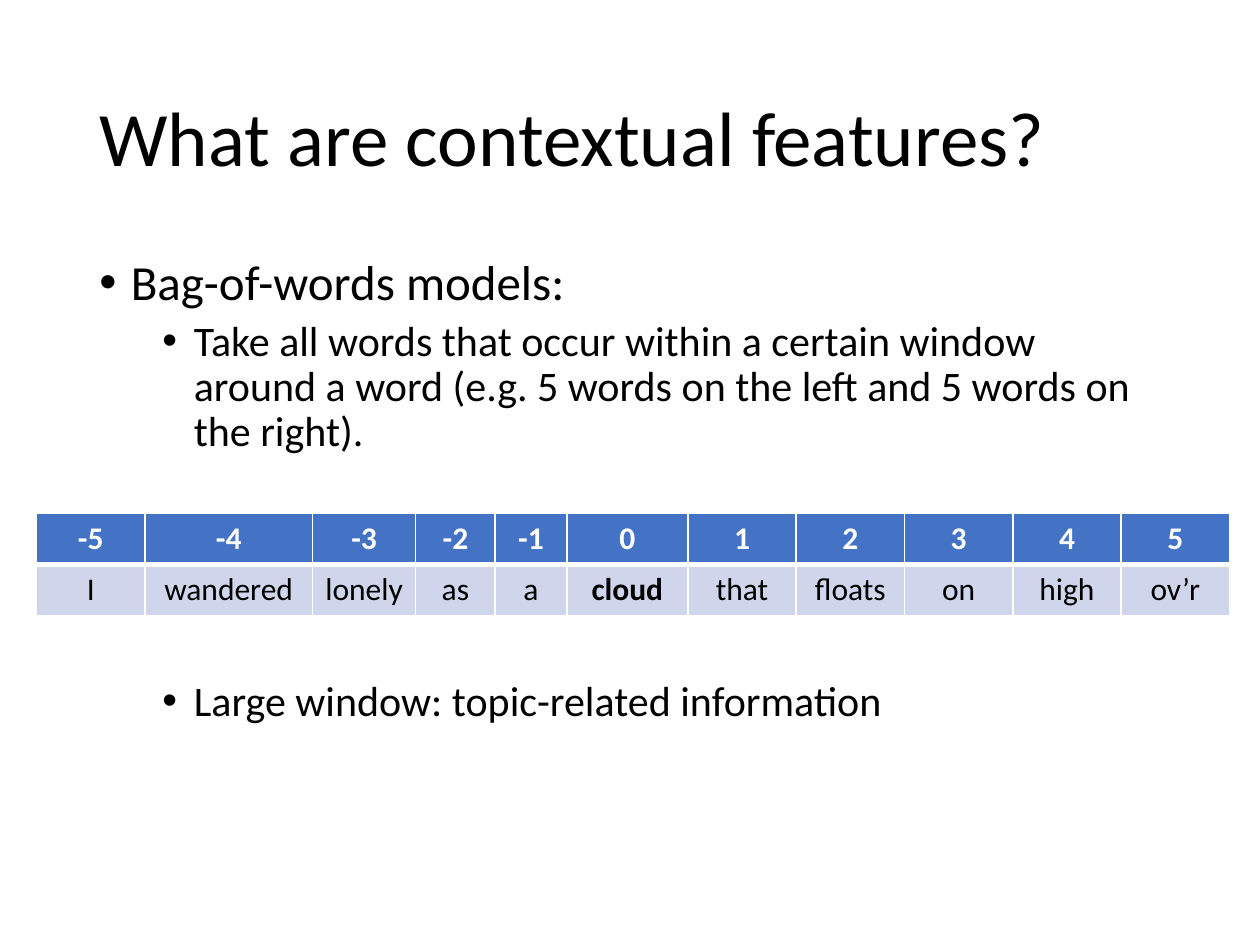
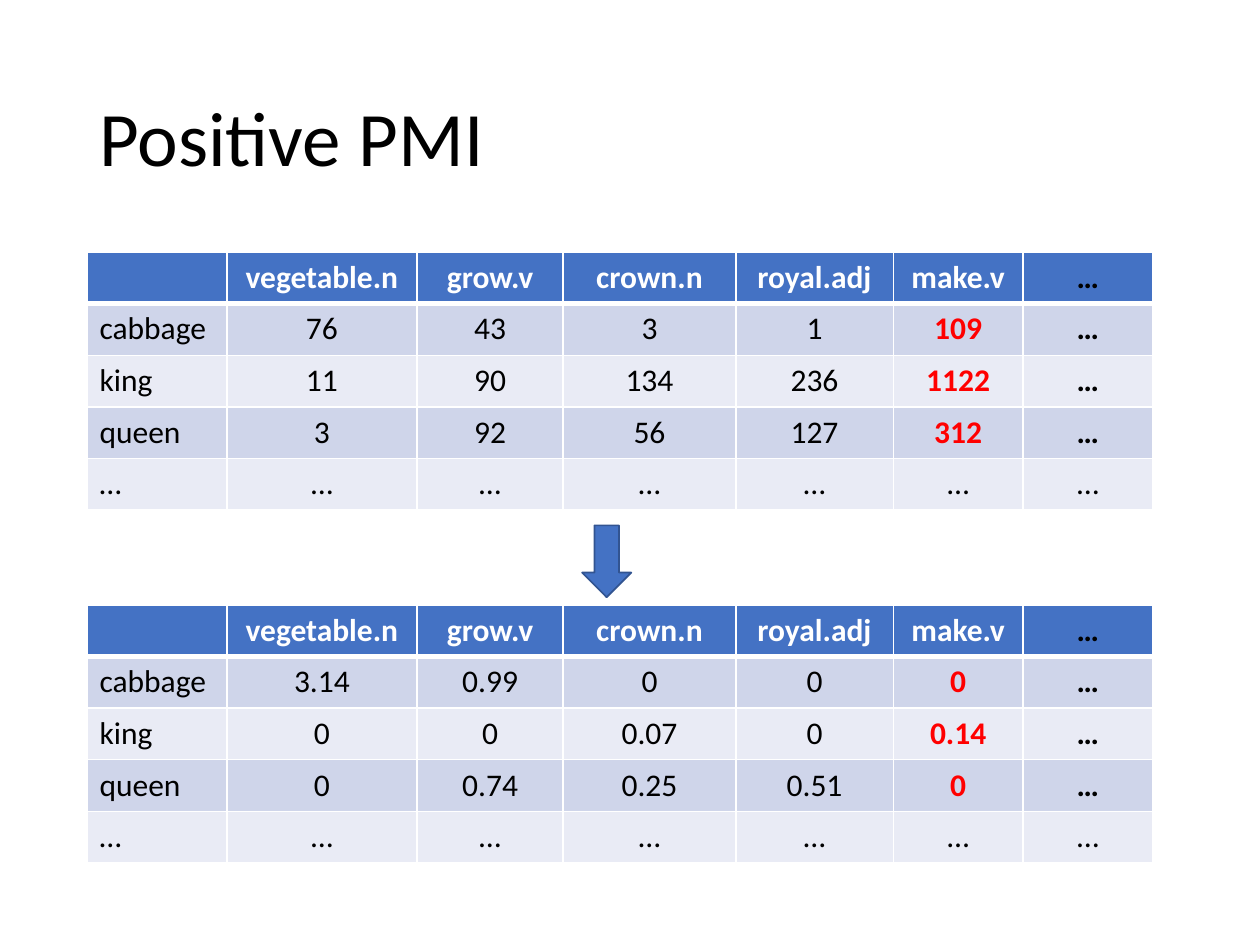
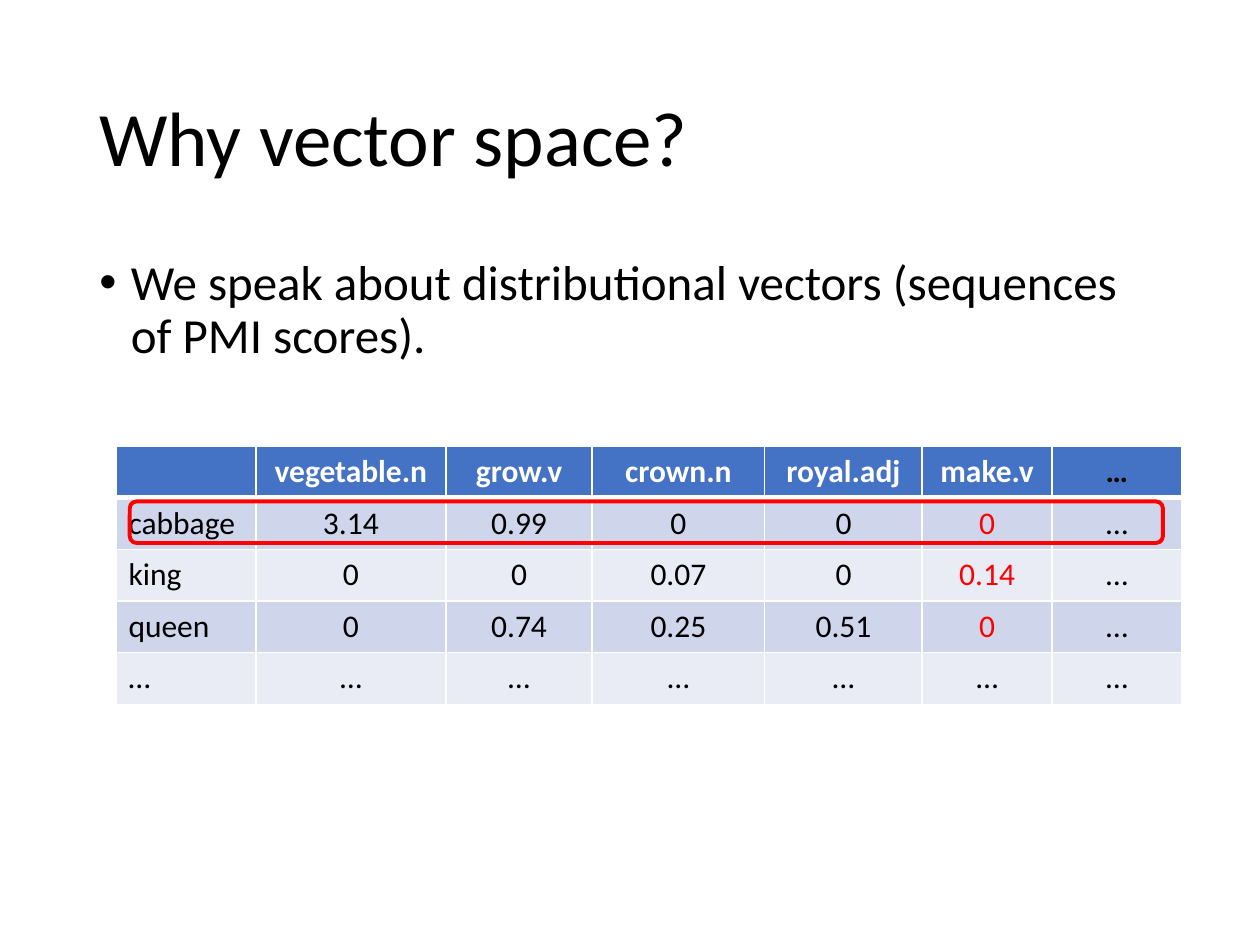
from dataclasses import dataclass
from typing import Optional

from lxml.etree import SubElement
from pptx import Presentation
from pptx.dml.color import RGBColor as RGB
from pptx.enum.shapes import MSO_SHAPE as Shape
from pptx.enum.text import MSO_ANCHOR as Anchor, PP_ALIGN as Align
from pptx.oxml import parse_xml
from pptx.oxml.ns import nsdecls, qn
from pptx.util import Inches, Pt


# Theme: colours, type sizes and line weights
@dataclass(frozen=True)
class Theme:
    font: str = "Calibri"
    black: str = "000000"
    white: str = "FFFFFF"
    red: str = "FF0000"
    blue: str = "4472C4"
    blue_edge: str = "325491"
    bands: tuple[str, str] = ("CFD5EA", "E9EBF5")
    title_size: float = 44
    bullet_sizes: tuple[float, float] = (28, 24)
    cell_size: float = 18
    line_spacing: float = 0.9
    rule: float = 1
    header_rule: float = 3


THEME = Theme()


@dataclass(frozen=True)
class Box:
    left: float
    top: float
    width: float
    height: float

    def lengths(self) -> list[int]:
        return [Inches(n) for n in (self.left, self.top, self.width, self.height)]


@dataclass(frozen=True)
class Bullet:
    text: str
    level: int = 0
    gap: Optional[float] = None  # points above, when not the level's own


@dataclass(frozen=True)
class CellStyle:
    color: str = THEME.black
    bold: bool = False
    align: Align = Align.CENTER


@dataclass(frozen=True)
class Grid:
    left: float
    top: float
    columns: tuple[float, ...]
    rows: list[list[str]]
    styles: dict[tuple[int, int], CellStyle]


TITLE_BOX = Box(0.69, 0.4, 8.62, 1.45)
BODY_BOX = Box(0.69, 2, 8.62, 4.76)
ROW_HEIGHT = 0.41


# Text
def write(paragraph, text: str, size: float, color: str, bold: bool = False) -> None:
    run = paragraph.add_run()
    run.text = text
    values = {"name": THEME.font, "size": Pt(size), "bold": bold}
    for attribute, value in values.items():
        setattr(run.font, attribute, value)
    run.font.color.rgb = RGB.from_string(color)


def add_text_frame(slide, box: Box, anchor: Anchor):
    frame = slide.shapes.add_textbox(*box.lengths()).text_frame
    frame.word_wrap = True
    frame.vertical_anchor = anchor
    return frame


def add_titled_slide(deck, title: str):
    slide = deck.slides.add_slide(deck.slide_layouts[6])
    heading = add_text_frame(slide, TITLE_BOX, Anchor.MIDDLE).paragraphs[0]
    heading.line_spacing = THEME.line_spacing
    write(heading, title, THEME.title_size, THEME.black)
    return slide


def add_bullets(slide, bullets: list[Bullet]) -> None:
    frame = add_text_frame(slide, BODY_BOX, Anchor.TOP)
    for index, bullet in enumerate(bullets):
        paragraph = frame.add_paragraph() if index else frame.paragraphs[0]
        paragraph.level = bullet.level
        paragraph.line_spacing = THEME.line_spacing
        own_gap = (10, 5)[bullet.level]
        paragraph.space_before = Pt(own_gap if bullet.gap is None else bullet.gap)
        properties = paragraph._p.get_or_add_pPr()
        properties.set("marL", str(Inches(0.25 + 0.5 * bullet.level)))
        properties.set("indent", str(Inches(-0.25)))
        SubElement(properties, qn("a:buFont")).set("typeface", "Arial")
        SubElement(properties, qn("a:buChar")).set("char", "•")
        write(paragraph, bullet.text, THEME.bullet_sizes[bullet.level], THEME.black)


# Tables
def set_borders(cell, top: float, bottom: float) -> None:
    weights = {"L": THEME.rule, "R": THEME.rule, "T": top, "B": bottom}
    properties = cell._tc.get_or_add_tcPr()
    for position, (side, weight) in enumerate(weights.items()):
        properties.insert(position, parse_xml(
            f'<a:ln{side} {nsdecls("a")} w="{Pt(weight)}"><a:solidFill>'
            f'<a:srgbClr val="{THEME.white}"/></a:solidFill></a:ln{side}>'))


def add_grid(slide, grid: Grid) -> None:
    box = Box(grid.left, grid.top, sum(grid.columns), ROW_HEIGHT * len(grid.rows))
    table = slide.shapes.add_table(
        len(grid.rows), len(grid.columns), *box.lengths()).table
    for column, width in zip(table.columns, grid.columns):
        column.width = Inches(width)
    for r, texts in enumerate(grid.rows):
        table.rows[r].height = Inches(ROW_HEIGHT)
        for c, text in enumerate(texts):
            cell = table.cell(r, c)
            cell.fill.solid()
            fill = THEME.bands[(r - 1) % 2] if r else THEME.blue
            cell.fill.fore_color.rgb = RGB.from_string(fill)
            set_borders(cell,
                        top=THEME.header_rule if r == 1 else THEME.rule,
                        bottom=THEME.rule if r else THEME.header_rule)
            if text:
                default = CellStyle() if r else CellStyle(THEME.white, True)
                style = grid.styles.get((r, c), default)
                paragraph = cell.text_frame.paragraphs[0]
                paragraph.alignment = style.align
                write(paragraph, text, THEME.cell_size, style.color, style.bold)


# Word-by-context tables share their labels, columns and emphasis
CONTEXTS = ["", "vegetable.n", "grow.v", "crown.n", "royal.adj", "make.v", "…"]
CONTEXT_COLUMNS = (1.11, 1.51, 1.16, 1.37, 1.25, 1.03, 1.03)
WORDS = ["cabbage", "king", "queen"]
COUNTS = ["76 43 3 1 109", "11 90 134 236 1122", "3 92 56 127 312"]
PMI_SCORES = ["3.14 0.99 0 0 0", "0 0 0.07 0 0.14", "0 0.74 0.25 0.51 0"]


def context_grid(left: float, top: float, scores: list[str], bold: bool) -> Grid:
    make, more = len(CONTEXTS) - 2, len(CONTEXTS) - 1
    rows = [CONTEXTS]
    rows += [[word, *line.split(), "…"] for word, line in zip(WORDS, scores)]
    rows.append(["…"] * len(CONTEXTS))
    styles = {(r, 0): CellStyle(align=Align.LEFT) for r in range(1, len(rows))}
    styles[0, more] = CellStyle(bold=True)
    for r in range(1, len(WORDS) + 1):
        styles[r, make] = CellStyle(THEME.red, bold)
        styles[r, more] = CellStyle(bold=bold)
    return Grid(left, top, CONTEXT_COLUMNS, rows, styles)


# Shapes
def add_outline(slide, kind: Shape, box: Box, line: str, weight: float,
                fill: Optional[str] = None) -> None:
    shape = slide.shapes.add_shape(kind, *box.lengths())
    shape.shadow.inherit = False
    if fill:
        shape.fill.solid()
        shape.fill.fore_color.rgb = RGB.from_string(fill)
    else:
        shape.fill.background()
    shape.line.color.rgb = RGB.from_string(line)
    shape.line.width = Pt(weight)


deck = Presentation()
deck.slide_width, deck.slide_height = Inches(10), Inches(7.5)

# Slide 1: a window of five words on each side
features = add_titled_slide(deck, "What are contextual features?")
add_bullets(features, [
    Bullet("Bag-of-words models:"),
    Bullet("Take all words that occur within a certain window around a word "
           "(e.g. 5 words on the left and 5 words on the right).", 1),
    Bullet("Large window: topic-related information", 1, gap=128),
])
verse = "I wandered lonely as a cloud that floats on high ov’r".split()
add_grid(features, Grid(
    0.29, 4.07, (0.86, 1.33, 0.82, 0.63, 0.57, 0.96) + (0.86,) * 5,
    [[str(offset) for offset in range(-5, 6)], verse],
    {(1, verse.index("cloud")): CellStyle(bold=True)}))

# Slide 2: from counts to positive PMI
positive_pmi = add_titled_slide(deck, "Positive PMI")
add_grid(positive_pmi, context_grid(0.69, 2, COUNTS, bold=True))
add_outline(positive_pmi, Shape.DOWN_ARROW, Box(4.62, 4.17, 0.39, 0.57),
            THEME.blue_edge, 1, THEME.blue)
add_grid(positive_pmi, context_grid(0.69, 4.8, PMI_SCORES, bold=True))

# Slide 3: one row is one vector
vector_space = add_titled_slide(deck, "Why vector space?")
add_bullets(vector_space, [
    Bullet("We speak about distributional vectors (sequences of PMI scores)."),
])
add_grid(vector_space, context_grid(0.92, 3.54, PMI_SCORES, bold=False))
add_outline(vector_space, Shape.ROUNDED_RECTANGLE, Box(1.03, 3.98, 8.2, 0.33),
            THEME.red, 2.25)

deck.save("out.pptx")
